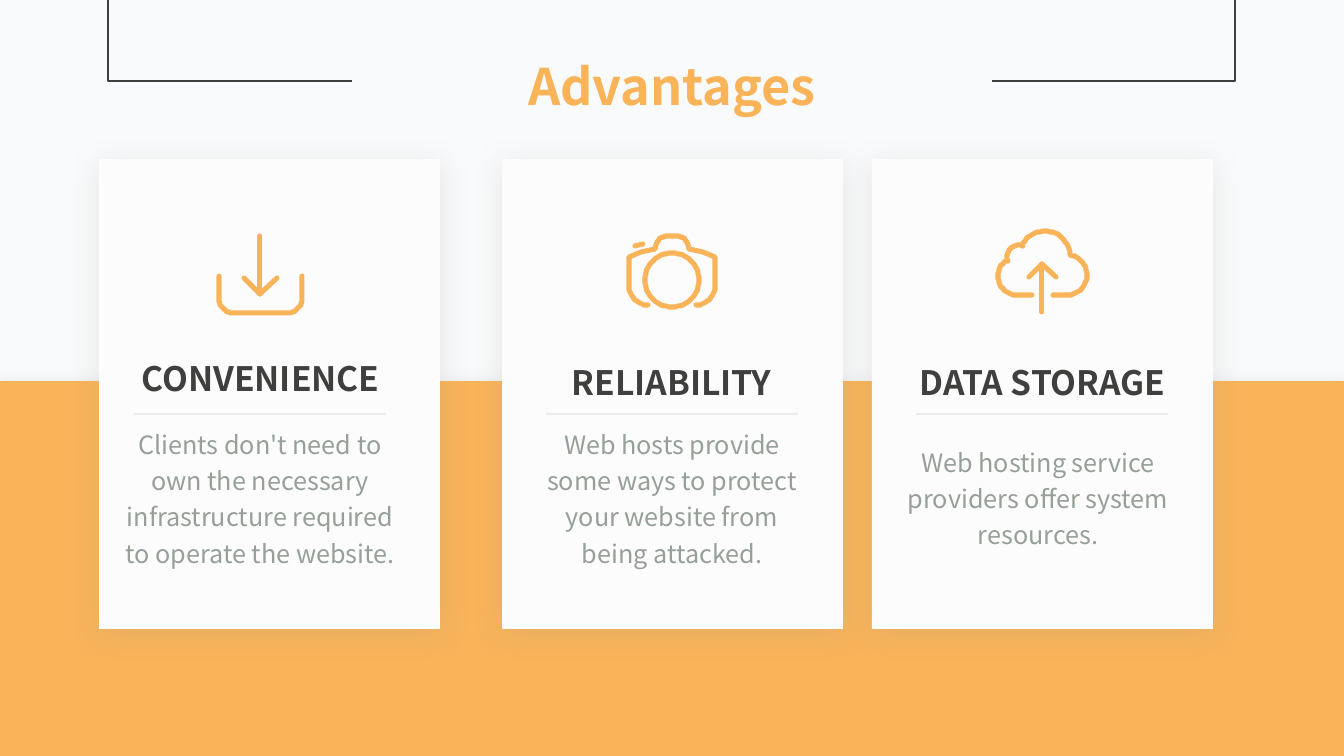
from math import cos, radians, sin

from lxml.etree import SubElement
from pptx import Presentation
from pptx.dml.color import RGBColor
from pptx.enum.shapes import MSO_CONNECTOR, MSO_SHAPE
from pptx.enum.text import MSO_ANCHOR, PP_ALIGN
from pptx.oxml.ns import qn
from pptx.util import Pt

PX = 914400 / 100.8
FONT = "Noto Sans CJK SC"
PALE = RGBColor(0xF9, 0xFA, 0xFB)
ORANGE = RGBColor(0xF9, 0xB3, 0x59)
DARK = RGBColor(0x3F, 0x40, 0x3E)
GREY = RGBColor(0x96, 0x9F, 0x98)
BAND_SHADOW = RGBColor(0xD5, 0xD7, 0xD5)
CARD = RGBColor(0xFC, 0xFC, 0xFD)


def arc(center_x, center_y, radius, start, end):
    """Points along a circle, with angles in degrees, clockwise from the right."""
    steps = max(2, abs(end - start) // 6)
    angles = [radians(start + (end - start) * i / steps) for i in range(steps + 1)]
    return [(center_x + radius * cos(a), center_y + radius * sin(a)) for a in angles]


CAMERA_LEFT = (arc(648, 286, 19, 90, 180) + [(629, 257), (641, 252), (655, 249)]
               + arc(667, 247, 11, 190, 270))
CAMERA_RIGHT = [(1344 - x, y) for x, y in reversed(CAMERA_LEFT)]

DOWNLOAD = [
    [(302, 276)] + arc(288, 299, 14, 0, 90) + arc(233, 299, 14, 90, 180) + [(219, 276)],
    [(260, 236), (260, 294)],
    [(244, 278), (260, 294), (277, 278)],
]
CAMERA = [
    CAMERA_LEFT + CAMERA_RIGHT,
    [(635, 246), (643, 244)],
    arc(672, 280, 27, 0, 360),
]
CLOUD = [
    [(1032, 295)] + arc(1017, 276, 19, 90, 239) + arc(1019, 257, 12, 160, 290)
    + arc(1045, 256, 25, 204, 355) + arc(1067, 275, 20, 280, 450) + [(1053, 295)],
    [(1042, 312), (1042, 264)],
    [(1029, 277), (1042, 264), (1056, 277)],
]

TITLE = "Advantages"
# heading, body, card left, heading box, body box, rule left, icon strokes
CARDS = [
    ("CONVENIENCE",
     "Clients don't need to own the necessary infrastructure required to operate the website.",
     99, (125, 353, 271, 50), (115, 418, 290, 156), 134, DOWNLOAD),
    ("RELIABILITY",
     "Web hosts provide some ways to protect your website from being attacked.",
     502, (559, 357, 225, 50), (527, 418, 290, 156), 546, CAMERA),
    ("DATA STORAGE",
     "Web hosting service providers offer system resources.",
     872, (901, 357, 283, 50), (893, 436, 290, 120), 916, CLOUD),
]


def scaled(*lengths):
    return [round(length * PX) for length in lengths]


def add_shadow(shape, color, opacity, blur, distance, angle):
    shape.shadow.inherit = False
    effects = shape.element.spPr.find(qn("a:effectLst"))
    shadow = SubElement(effects, qn("a:outerShdw"), blurRad=str(Pt(blur)),
                        dist=str(Pt(distance)), dir=str(angle * 60000),
                        algn="ctr", rotWithShape="0")
    shade = SubElement(shadow, qn("a:srgbClr"), val=str(color))
    SubElement(shade, qn("a:alpha"), val=str(opacity * 1000))


def add_panel(slide, box, color):
    shape = slide.shapes.add_shape(MSO_SHAPE.RECTANGLE, *scaled(*box))
    shape.fill.solid()
    shape.fill.fore_color.rgb = color
    shape.line.fill.background()
    return shape


def set_text(shape, text, size, color, bold=False, wrap=True, spacing=1.0):
    frame = shape.text_frame
    frame.text = text
    frame.word_wrap = wrap
    paragraph = frame.paragraphs[0]
    paragraph.alignment = PP_ALIGN.CENTER
    paragraph.line_spacing = spacing
    font = paragraph.runs[0].font
    font.name, font.size, font.bold = FONT, Pt(size), bold
    font.color.rgb = color


def add_text(slide, box, *args, **options):
    set_text(slide.shapes.add_textbox(*scaled(*box)), *args, **options)


def add_rule(slide, left):
    left, right, y = scaled(left, left + 252, 414)
    rule = slide.shapes.add_connector(MSO_CONNECTOR.STRAIGHT, right, y, left, y)
    rule.line.width = Pt(0.5)
    rule.line.color.rgb = GREY
    color = rule.line.fill.fore_color.rgb and rule.element.spPr.find(".//" + qn("a:srgbClr"))
    SubElement(color, qn("a:alpha"), val="50000")
    SubElement(rule.element.spPr, qn("a:effectLst"))


def add_stroke(slide, points):
    builder = slide.shapes.build_freeform(*points[0], scale=PX)
    builder.add_line_segments(points[1:], close=False)
    stroke = builder.convert_to_shape()
    stroke.shadow.inherit = False
    stroke.fill.background()
    stroke.line.color.rgb = ORANGE
    stroke.line.width = Pt(3.6)
    line = stroke.element.spPr.find(qn("a:ln"))
    line.set("cap", "rnd")
    SubElement(line, qn("a:round"))


def add_title(slide, frame):
    title = slide.shapes.title
    frame.element.addnext(title.element)
    title.left, title.top, title.width, title.height = scaled(352, 49, 640, 72)
    title.fill.solid()
    title.fill.fore_color.rgb = PALE
    set_text(title, TITLE, 36, ORANGE, bold=True)
    title.text_frame.vertical_anchor = MSO_ANCHOR.MIDDLE


def main():
    presentation = Presentation()
    presentation.slide_width, presentation.slide_height = scaled(1344, 756)
    slide = presentation.slides.add_slide(presentation.slide_layouts[5])
    slide.background.fill.solid()
    slide.background.fill.fore_color.rgb = PALE

    band = add_panel(slide, (0, 381, 1344, 393), ORANGE)
    add_shadow(band, BAND_SHADOW, 40, 10, 0, 0)
    frame = slide.shapes.add_shape(MSO_SHAPE.RECTANGLE, *scaled(108, -158, 1127, 239))
    frame.shadow.inherit = False
    frame.fill.background()
    frame.line.color.rgb = DARK
    frame.line.width = Pt(2)
    add_title(slide, frame)

    for heading, body, left, heading_box, body_box, rule_left, icon in CARDS:
        card = add_panel(slide, (left, 159, 341, 470), CARD)
        add_shadow(card, GREY, 20, 20, 3, 90)
        add_text(slide, body_box, body, 18, GREY, spacing=1.2)
        add_text(slide, heading_box, heading, 24, DARK, bold=True, wrap=False)
        add_rule(slide, rule_left)
        for points in icon:
            add_stroke(slide, points)

    presentation.save("out.pptx")


if __name__ == "__main__":
    main()
